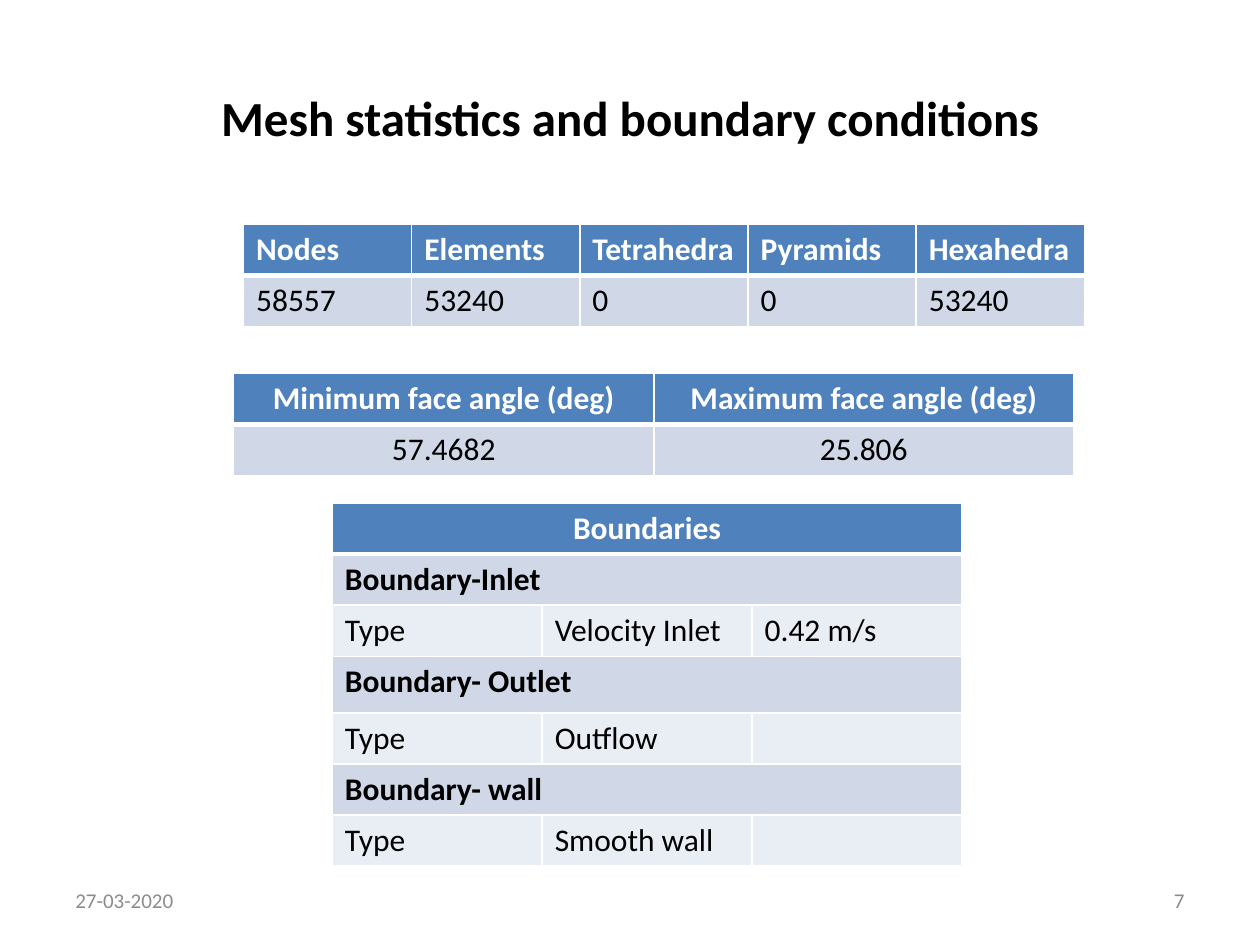
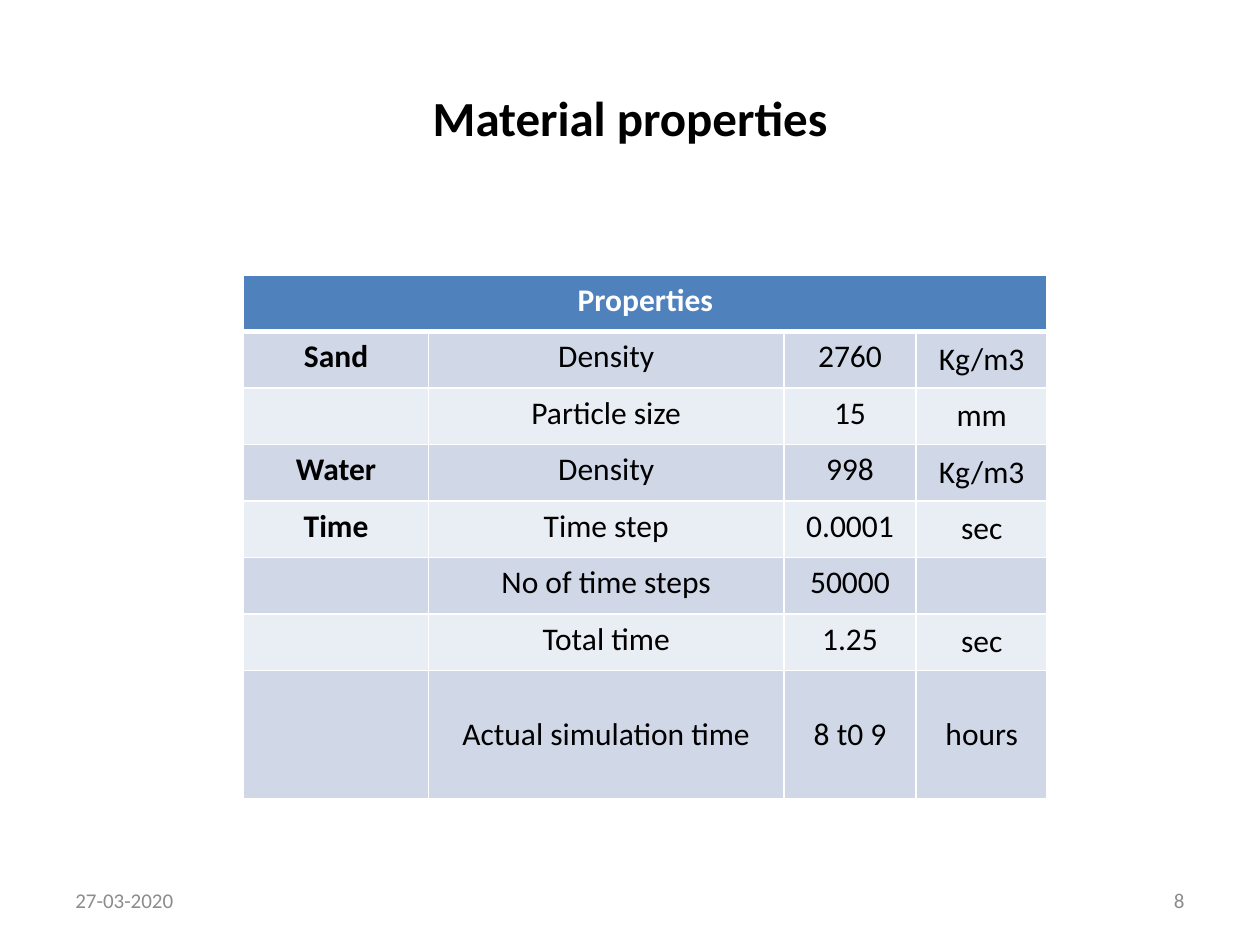
from lxml import etree
from pptx import Presentation
from pptx.dml.color import RGBColor
from pptx.enum.text import MSO_ANCHOR, PP_ALIGN
from pptx.oxml.ns import qn
from pptx.util import Cm, Pt

LEFT, CENTER, RIGHT = PP_ALIGN.LEFT, PP_ALIGN.CENTER, PP_ALIGN.RIGHT
MIDDLE = MSO_ANCHOR.MIDDLE
BLACK = RGBColor(0x00, 0x00, 0x00)
WHITE = RGBColor(0xFF, 0xFF, 0xFF)
GREY = RGBColor(0x8C, 0x8C, 0x8C)
HEADER = RGBColor(0x4F, 0x81, 0xBD)
BANDS = (RGBColor(0xE9, 0xED, 0xF4), RGBColor(0xD0, 0xD8, 0xE8))
FONT = "Calibri"
TITLE_ONLY = 5
DATE = "27-03-2020"
ROW = 1.03
TALL_ROW = 1.14

MESH = [["Nodes", "Elements", "Tetrahedra", "Pyramids", "Hexahedra"],
        ["58557", "53240", "0", "0", "53240"]]
ANGLES = [["Minimum face angle (deg)", "Maximum face angle (deg)"],
          ["57.4682", "25.806"]]
BOUNDARIES = [["Boundaries"],
              ["Boundary-Inlet"],
              ["Type", "Velocity Inlet", "0.42 m/s"],
              ["Boundary- Outlet"],
              ["Type", "Outflow", ""],
              ["Boundary- wall"],
              ["Type", "Smooth wall", ""]]
PROPERTIES = [["Properties"],
              ["Sand", "Density", "2760", "Kg/m3"],
              ["", "Particle size", "15", "mm"],
              ["Water", "Density", "998", "Kg/m3"],
              ["Time", "Time step", "0.0001", "sec"],
              ["", "No of time steps", "50000", ""],
              ["", "Total time", "1.25", "sec"],
              ["", "Actual simulation time", "8 t0 9", "hours"]]


def style_paragraph(p, size, color, bold=False, align=LEFT):
    """Set the alignment and font of one paragraph."""
    p.alignment = align
    p.font.name = FONT
    p.font.size = Pt(size)
    p.font.bold = bold
    p.font.color.rgb = color


def add_borders(cell, bottom):
    """Give a cell white borders, with its own width at the bottom."""
    tc_pr = cell._tc.get_or_add_tcPr()
    for side, width in (("L", 1), ("R", 1), ("T", 1), ("B", bottom)):
        ln = etree.SubElement(tc_pr, qn(f"a:ln{side}"), w=str(Pt(width)))
        fill = etree.SubElement(ln, qn("a:solidFill"))
        etree.SubElement(fill, qn("a:srgbClr"), val=str(WHITE))


def add_footer(s, left, text, align):
    """Place one grey footer text at the given left edge."""
    tf = s.shapes.add_textbox(Cm(left), Cm(17.65), Cm(5.93), Cm(1.01)).text_frame
    tf.word_wrap = True
    tf.vertical_anchor = MIDDLE
    tf.text = text
    style_paragraph(tf.paragraphs[0], 12, GREY, align=align)


def add_slide(prs, title, number):
    """Add a slide with its title, date and number."""
    s = prs.slides.add_slide(prs.slide_layouts[TITLE_ONLY])
    box = s.shapes.title
    box.left, box.top, box.width, box.height = Cm(1.27), Cm(0.76), Cm(22.86), Cm(3.18)
    tf = box.text_frame
    tf.vertical_anchor = MIDDLE
    tf.text = title
    style_paragraph(tf.paragraphs[0], 28, BLACK, True, CENTER)
    add_footer(s, 1.27, DATE, LEFT)
    add_footer(s, 18.2, str(number), RIGHT)
    return s


def add_banded_table(s, left, top, widths, heights, data, align=LEFT, bold_first=False):
    """Add a banded table in which a row with a single entry spans all columns."""
    table = s.shapes.add_table(len(heights), len(widths), Cm(left), Cm(top),
                               Cm(sum(widths)), Cm(sum(heights))).table
    for column, width in zip(table.columns, widths):
        column.width = Cm(width)
    for i, (entries, height) in enumerate(zip(data, heights)):
        table.rows[i].height = Cm(height)
        header = i == 0
        spans = len(entries) == 1
        if spans:
            table.cell(i, 0).merge(table.cell(i, len(widths) - 1))
        for j in range(len(widths)):
            cell = table.cell(i, j)
            add_borders(cell, 3 if header else 1)
            cell.fill.solid()
            cell.fill.fore_color.rgb = HEADER if header else BANDS[i % 2]
            if j < len(entries):
                cell.text = entries[j]
            style_paragraph(cell.text_frame.paragraphs[0], 18,
                            WHITE if header else BLACK,
                            header or spans or (bold_first and j == 0),
                            CENTER if header and spans else align)
    return table


def mesh_slide(prs):
    """Build the slide of mesh statistics and boundary conditions."""
    s = add_slide(prs, "Mesh statistics and boundary conditions", 7)
    add_banded_table(s, 6.7, 10.14, [4.23] * 3, [ROW] * 3 + [TALL_ROW] + [ROW] * 3,
                     BOUNDARIES)
    add_banded_table(s, 4.71, 7.53, [8.47] * 2, [ROW] * 2, ANGLES, CENTER)
    add_banded_table(s, 4.91, 4.52, [3.39] * 5, [ROW] * 2, MESH)


def properties_slide(prs):
    """Build the slide of material properties."""
    s = add_slide(prs, "Material properties", 8)
    table = add_banded_table(s, 4.91, 5.54, [3.73, 7.16, 2.67, 2.64],
                             [TALL_ROW] * 7 + [2.58], PROPERTIES, CENTER, True)
    last = len(PROPERTIES) - 1
    for i in range(1, last):
        table.cell(i, 3).vertical_anchor = MIDDLE
    for j in range(1, 4):
        table.cell(last, j).vertical_anchor = MIDDLE


def main():
    """Build and save the presentation."""
    prs = Presentation()
    prs.slide_width, prs.slide_height = Cm(25.4), Cm(19.05)
    mesh_slide(prs)
    properties_slide(prs)
    prs.save("out.pptx")


if __name__ == "__main__":
    main()
